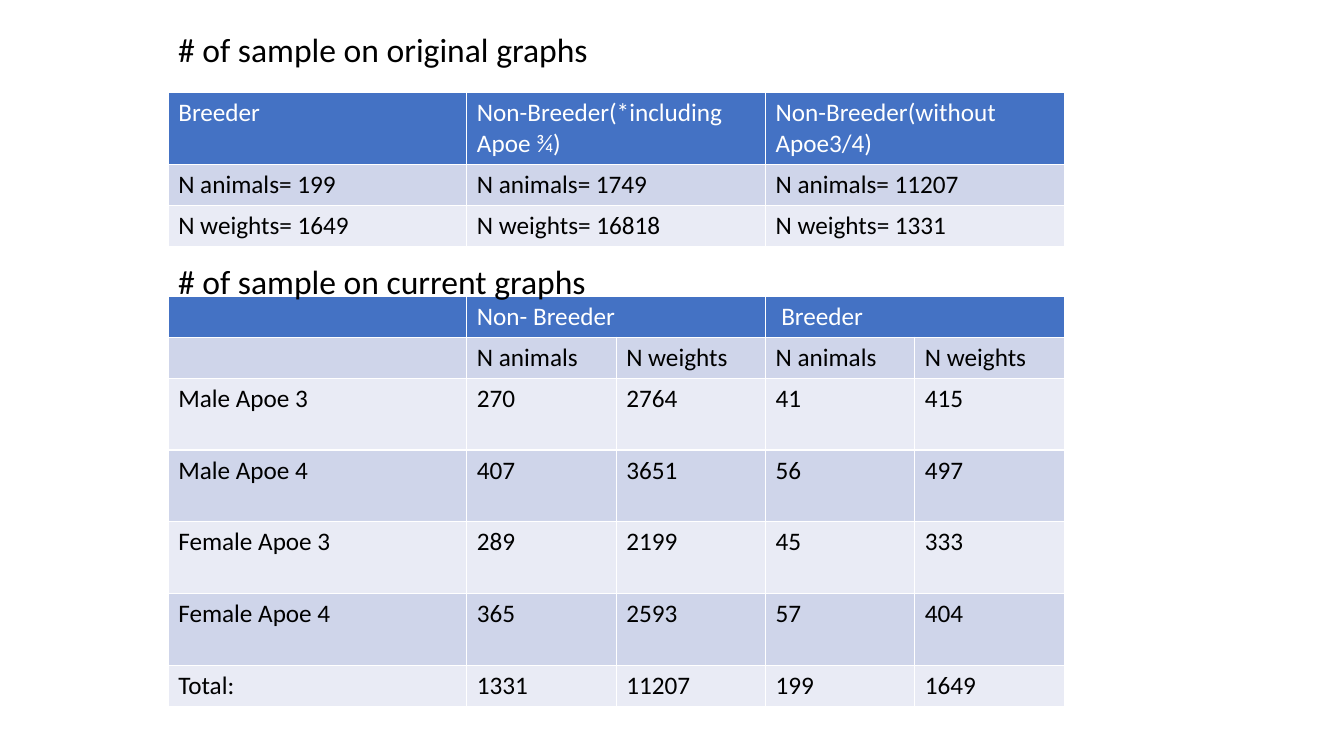
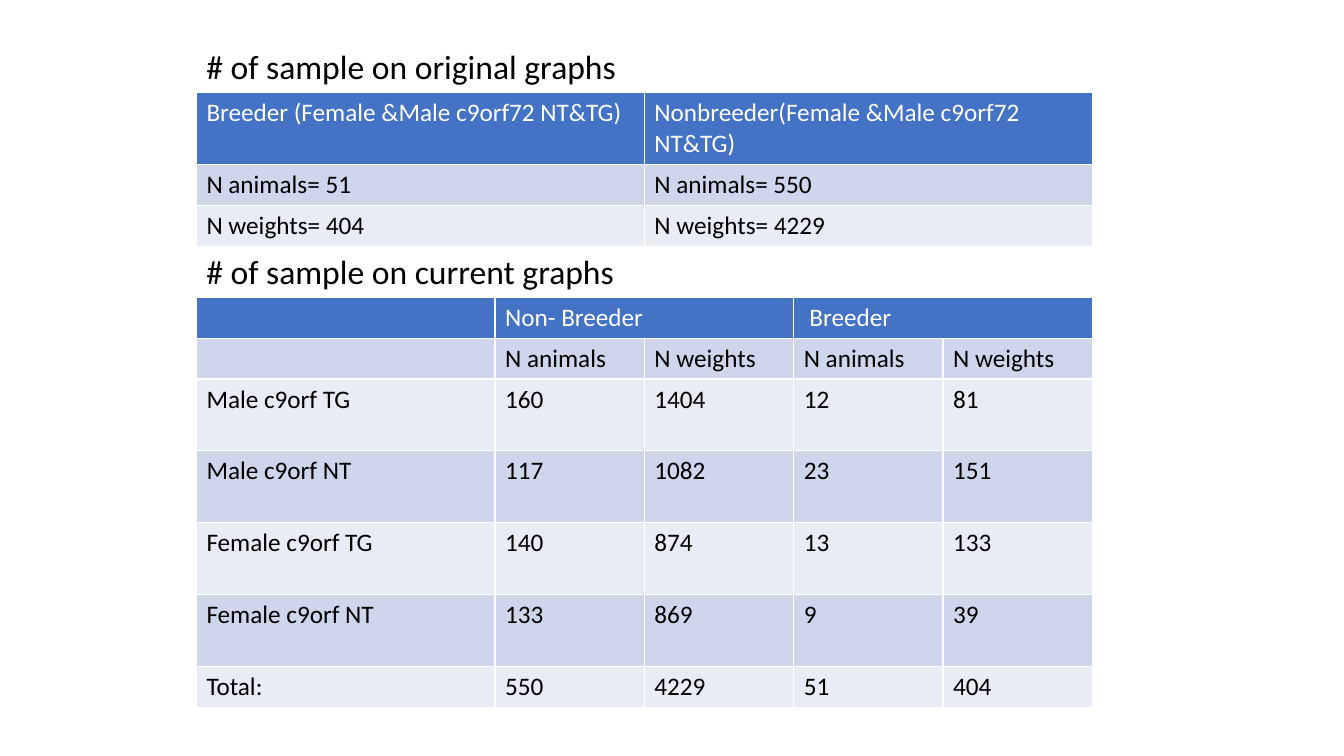
from dataclasses import dataclass

from pptx import Presentation
from pptx.dml.color import RGBColor
from pptx.util import Cm, Pt


@dataclass(frozen=True)
class Theme:
    font: str = "Calibri"
    heading_size: int = 24
    cell_size: int = 18
    text: str = "000000"
    header_text: str = "FFFFFF"
    header_fill: str = "4472C4"
    bands: tuple = ("E9EBF5", "CFD5EA")


theme = Theme()
TABLE_WIDTH = 22.58
ROW, TALL_ROW = 1.03, 1.81
ORIGINAL_TOP = 2.34
ORIGINAL_ROWS = [TALL_ROW, ROW, ROW]
CURRENT_ROWS = [ROW, ROW] + [TALL_ROW] * 4 + [ROW]
CURRENT_HEADER = [
    ["", "Non- Breeder", "", " Breeder", ""],
    ["", "N animals ", "N weights", "N animals ", "N weights"],
]


def add_heading(slide, text, left, top, width, height, line_spacing):
    text_box = slide.shapes.add_textbox(Cm(left), Cm(top), Cm(width), Cm(height))
    text_box.text_frame.word_wrap = True
    paragraph = text_box.text_frame.paragraphs[0]
    paragraph.text = text
    paragraph.line_spacing = line_spacing
    font = paragraph.runs[0].font
    font.name, font.size = theme.font, Pt(theme.heading_size)
    font.color.rgb = RGBColor.from_string(theme.text)


def add_sample_table(slide, left, top, rows, row_heights, column_shares):
    """White rules come from the default table style; fills and text are set here."""
    table = slide.shapes.add_table(
        len(rows), len(column_shares), Cm(left), Cm(top),
        Cm(TABLE_WIDTH), Cm(sum(row_heights))).table
    for column, share in zip(table.columns, column_shares):
        column.width = Cm(TABLE_WIDTH * share / sum(column_shares))
    for row_index, (values, height) in enumerate(zip(rows, row_heights)):
        table.rows[row_index].height = Cm(height)
        is_header = row_index == 0
        fill = theme.header_fill if is_header else theme.bands[row_index % 2]
        color = theme.header_text if is_header else theme.text
        for column_index, value in enumerate(values):
            cell = table.cell(row_index, column_index)
            cell.fill.solid()
            cell.fill.fore_color.rgb = RGBColor.from_string(fill)
            if not value:
                continue
            cell.text_frame.text = value
            font = cell.text_frame.paragraphs[0].runs[0].font
            font.name, font.size, font.bold = theme.font, Pt(theme.cell_size), False
            font.color.rgb = RGBColor.from_string(color)
    return table


# Content: heading boxes are (top, width, height, line spacing)
slides = [
    {
        "left": 4.24,
        "original_heading": (0.71, 13.31, 1.32, 0.9),
        "current_heading": (6.45, 10.87, 1.27, 1),
        "current_top": 7.47,
        "original": [
            ["Breeder", "Non-Breeder(*including Apoe ¾)", "Non-Breeder(without Apoe3/4)"],
            ["N animals= 199", "N animals= 1749", "N animals= 11207"],
            ["N weights= 1649", "N weights= 16818", "N weights= 1331"],
        ],
        "current": [
            ["Male Apoe 3", "270", "2764", "41", "415"],
            ["Male Apoe 4", "407", "3651", "56", "497"],
            ["Female Apoe 3", "289", "2199", "45", "333"],
            ["Female Apoe 4", "365", "2593", "57", "404"],
            ["Total:", "1331", "11207", "199", "1649"],
        ],
    },
    {
        "left": 4.95,
        "original_heading": (1.04, 11, 2.06, 1),
        "current_heading": (6.2, 10.87, 1.27, 1),
        "current_top": 7.49,
        "original": [
            ["Breeder (Female &Male c9orf72 NT&TG)", "Nonbreeder(Female &Male c9orf72 NT&TG)"],
            ["N animals= 51", "N animals= 550"],
            ["N weights= 404", "N weights= 4229"],
        ],
        "current": [
            ["Male c9orf TG", "160", "1404", "12", "81"],
            ["Male c9orf NT", "117", "1082", "23", "151"],
            ["Female c9orf TG", "140", "874", "13", "133"],
            ["Female c9orf NT", "133", "869", "9", "39"],
            ["Total:", "550", "4229", "51", "404"],
        ],
    },
]

presentation = Presentation()
presentation.slide_width, presentation.slide_height = Cm(33.87), Cm(19.05)

for content in slides:
    slide = presentation.slides.add_slide(presentation.slide_layouts[6])
    left = content["left"]

    # Sample counts on the original graphs
    add_sample_table(slide, left, ORIGINAL_TOP, content["original"],
                     ORIGINAL_ROWS, [1] * len(content["original"][0]))

    # Sample counts on the current graphs, with one header per pair of columns
    current_table = add_sample_table(
        slide, left, content["current_top"], CURRENT_HEADER + content["current"],
        CURRENT_ROWS, [2, 1, 1, 1, 1])
    for first_column in (1, 3):
        current_table.cell(0, first_column).merge(current_table.cell(0, first_column + 1))

    # Headings sit in front of the tables
    for name in ("original", "current"):
        add_heading(slide, f"# of sample on {name} graphs", left, *content[f"{name}_heading"])

presentation.save("out.pptx")
